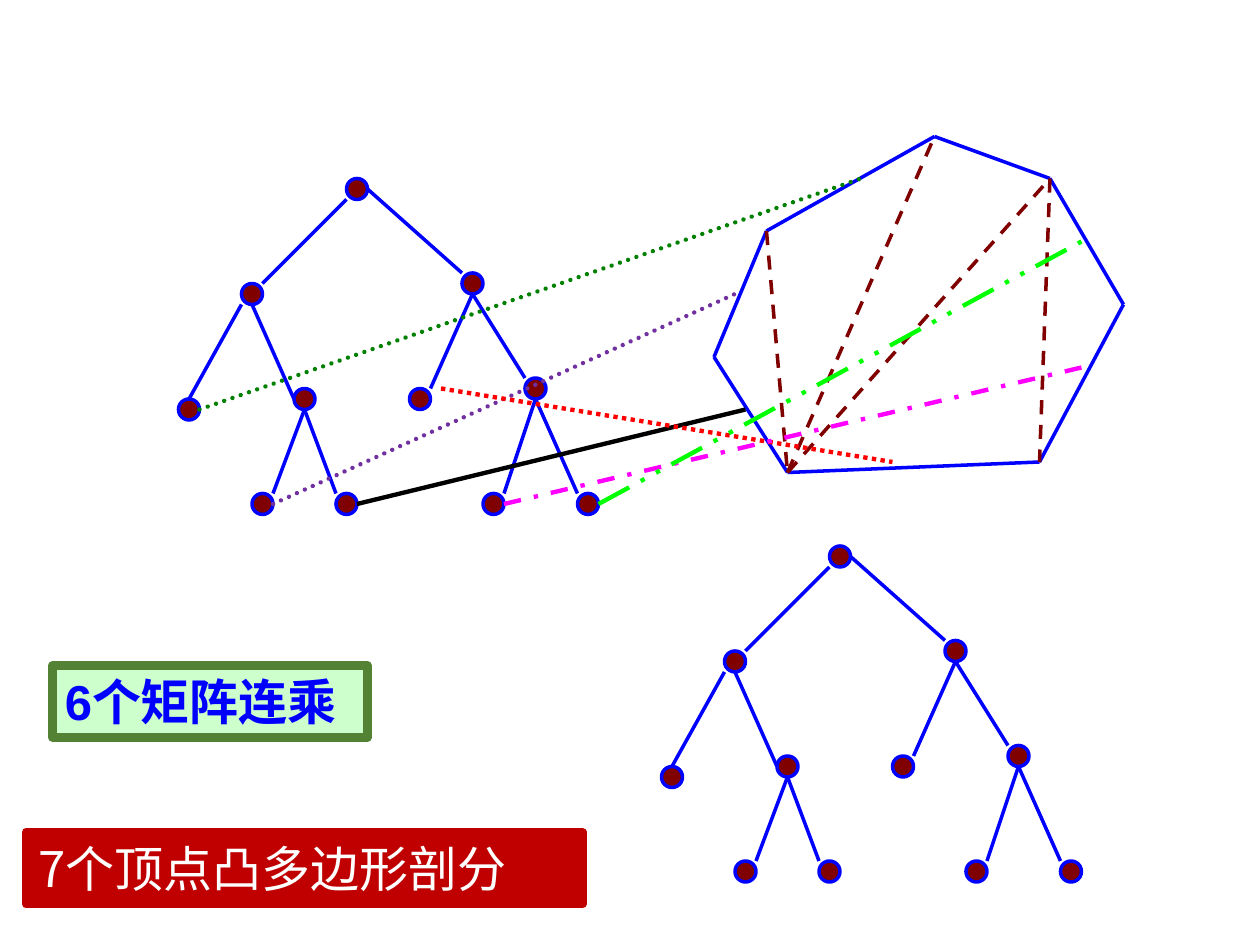
import itertools
from dataclasses import dataclass

import lxml.etree
import pptx
import pptx.dml.color
import pptx.enum.dml
import pptx.enum.shapes
import pptx.enum.text
import pptx.oxml.ns
import pptx.util

EMU_PER_PX = 9525  # 96 px to the inch
NODE_SIZE = 16

Dash = pptx.enum.dml.MSO_LINE
Point = tuple[int, int]


@dataclass(frozen=True)
class Theme:
    blue: str = "0000FF"
    maroon: str = "800000"
    white: str = "FFFFFF"
    black: str = "000000"
    dark_green: str = "008000"
    purple: str = "7030A0"
    red: str = "FF0000"
    magenta: str = "FF00FF"
    lime: str = "00FF00"
    mint: str = "CCFFCC"
    olive: str = "548235"
    crimson: str = "C00000"
    latin_font: str = "Arial"
    chinese_font: str = "Noto Sans CJK SC"
    label_size: int = 28
    thin: float = 2
    medium: float = 2.5
    thick: float = 4.75


THEME = Theme()


@dataclass(frozen=True)
class Stroke:
    color: str
    width: float = THEME.thin
    dash: Dash | None = None
    round_cap: bool = False


@dataclass(frozen=True)
class Segment:
    start: Point
    end: Point
    stroke: Stroke


@dataclass(frozen=True)
class Label:
    text: str
    left: int
    top: int
    width: int
    height: int
    fill: str
    border: str
    color: str
    font: str
    bold: bool


OUTLINE = Stroke(THEME.blue)
CHORD = Stroke(THEME.maroon, dash=Dash.DASH)

# Tree coordinates are measured from the root node's top left corner.
TREE_NODES = [
    (0, 0), (-80, 80), (88, 72), (-128, 168), (-40, 160), (-72, 240),
    (-8, 240), (48, 160), (136, 152), (104, 240), (176, 240),
]
TREE_EDGES = [
    ((0, 16), (-64, 80)), ((16, 8), (88, 72)),
    ((-80, 96), (-120, 168)), ((-72, 96), (-40, 168)),
    ((96, 88), (64, 160)), ((96, 88), (136, 152)),
    ((-32, 176), (-56, 240)), ((-32, 176), (-8, 240)),
    ((144, 168), (120, 240)), ((144, 168), (176, 240)),
]
TREE_ROOTS = [(264, 136), (632, 416)]

POLYGON = [(600, 360), (544, 272), (584, 176), (712, 104),
           (800, 136), (856, 232), (792, 352)]
CHORDS = [(4, 6), (0, 4), (2, 0), (0, 3)]

LEAF_TO_SIDE = [
    Segment((152, 312), (656, 136), Stroke(THEME.dark_green, THEME.medium, Dash.ROUND_DOT, True)),
    Segment((208, 384), (560, 224), Stroke(THEME.purple, THEME.medium, Dash.ROUND_DOT, True)),
    Segment((272, 384), (568, 312), Stroke(THEME.black, THEME.medium)),
    Segment((336, 296), (680, 352), Stroke(THEME.red, THEME.medium, Dash.ROUND_DOT)),
    Segment((384, 384), (824, 280), Stroke(THEME.magenta, THEME.medium, Dash.DASH_DOT)),
    Segment((456, 384), (824, 184), Stroke(THEME.lime, THEME.medium, Dash.DASH_DOT_DOT)),
]

LABELS = [
    Label("6个矩阵连乘", 40, 507, 240, 55, THEME.mint, THEME.olive,
          THEME.blue, THEME.latin_font, True),
    Label("7个顶点凸多边形剖分", 20, 634, 424, 55, THEME.crimson, THEME.crimson,
          THEME.white, THEME.chinese_font, False),
]


def px(length: int) -> pptx.util.Emu:
    return pptx.util.Emu(length * EMU_PER_PX)


def rgb(color: str) -> pptx.dml.color.RGBColor:
    return pptx.dml.color.RGBColor.from_string(color)


def shift(point: Point, origin: Point) -> Point:
    return point[0] + origin[0], point[1] + origin[1]


def apply_stroke(line, stroke: Stroke) -> None:
    line.color.rgb = rgb(stroke.color)
    line.width = pptx.util.Pt(stroke.width)
    if stroke.dash is not None:
        line.dash_style = stroke.dash


def draw_segment(shapes, segment: Segment) -> None:
    connector = shapes.add_connector(
        pptx.enum.shapes.MSO_CONNECTOR.STRAIGHT,
        *map(px, segment.start + segment.end))
    apply_stroke(connector.line, segment.stroke)
    properties = connector._element.spPr
    if segment.stroke.round_cap:
        properties.find(pptx.oxml.ns.qn("a:ln")).set("cap", "rnd")
    lxml.etree.SubElement(properties, pptx.oxml.ns.qn("a:effectLst"))


def draw_shape(shapes, kind, left: int, top: int, width: int, height: int,
               fill: str, stroke: Stroke):
    shape = shapes.add_shape(kind, px(left), px(top), px(width), px(height))
    shape.shadow.inherit = False
    shape.fill.solid()
    shape.fill.fore_color.rgb = rgb(fill)
    apply_stroke(shape.line, stroke)
    return shape


def draw_tree(shapes, root: Point) -> None:
    tree = shapes.add_group_shape().shapes
    for start, end in TREE_EDGES:
        draw_segment(tree, Segment(shift(start, root), shift(end, root), OUTLINE))
    for node in TREE_NODES:
        draw_shape(tree, pptx.enum.shapes.MSO_SHAPE.OVAL, *shift(node, root),
                   NODE_SIZE, NODE_SIZE, THEME.maroon, OUTLINE)


def draw_polygon(shapes) -> None:
    """Draw the convex polygon's sides and its triangulation."""
    sides = shapes.add_group_shape().shapes
    for start, end in itertools.pairwise(POLYGON + POLYGON[:1]):
        draw_segment(sides, Segment(start, end, OUTLINE))
    for start, end in CHORDS:
        draw_segment(shapes, Segment(POLYGON[start], POLYGON[end], CHORD))


def draw_label(shapes, label: Label) -> None:
    shape = draw_shape(shapes, pptx.enum.shapes.MSO_SHAPE.RECTANGLE,
                       label.left, label.top, label.width, label.height,
                       label.fill, Stroke(label.border, THEME.thick))
    frame = shape.text_frame
    frame.word_wrap = True
    frame.auto_size = pptx.enum.text.MSO_AUTO_SIZE.SHAPE_TO_FIT_TEXT
    frame.vertical_anchor = pptx.enum.text.MSO_ANCHOR.TOP
    paragraph = frame.paragraphs[0]
    paragraph.alignment = pptx.enum.text.PP_ALIGN.LEFT
    run = paragraph.add_run()
    run.text = label.text
    run.font.name = label.font
    run.font.size = pptx.util.Pt(THEME.label_size)
    run.font.bold = label.bold
    run.font.color.rgb = rgb(label.color)
    east_asian = lxml.etree.SubElement(run.font._element, pptx.oxml.ns.qn("a:ea"))
    east_asian.set("typeface", THEME.chinese_font)


def main() -> None:
    presentation = pptx.Presentation()
    presentation.slide_width = px(960)
    presentation.slide_height = px(720)
    slide = presentation.slides.add_slide(presentation.slide_layouts[6])
    for root in TREE_ROOTS:
        draw_tree(slide.shapes, root)
    draw_polygon(slide.shapes)
    for segment in LEAF_TO_SIDE:
        draw_segment(slide.shapes, segment)
    for label in LABELS:
        draw_label(slide.shapes, label)
    presentation.save("out.pptx")


if __name__ == "__main__":
    main()
